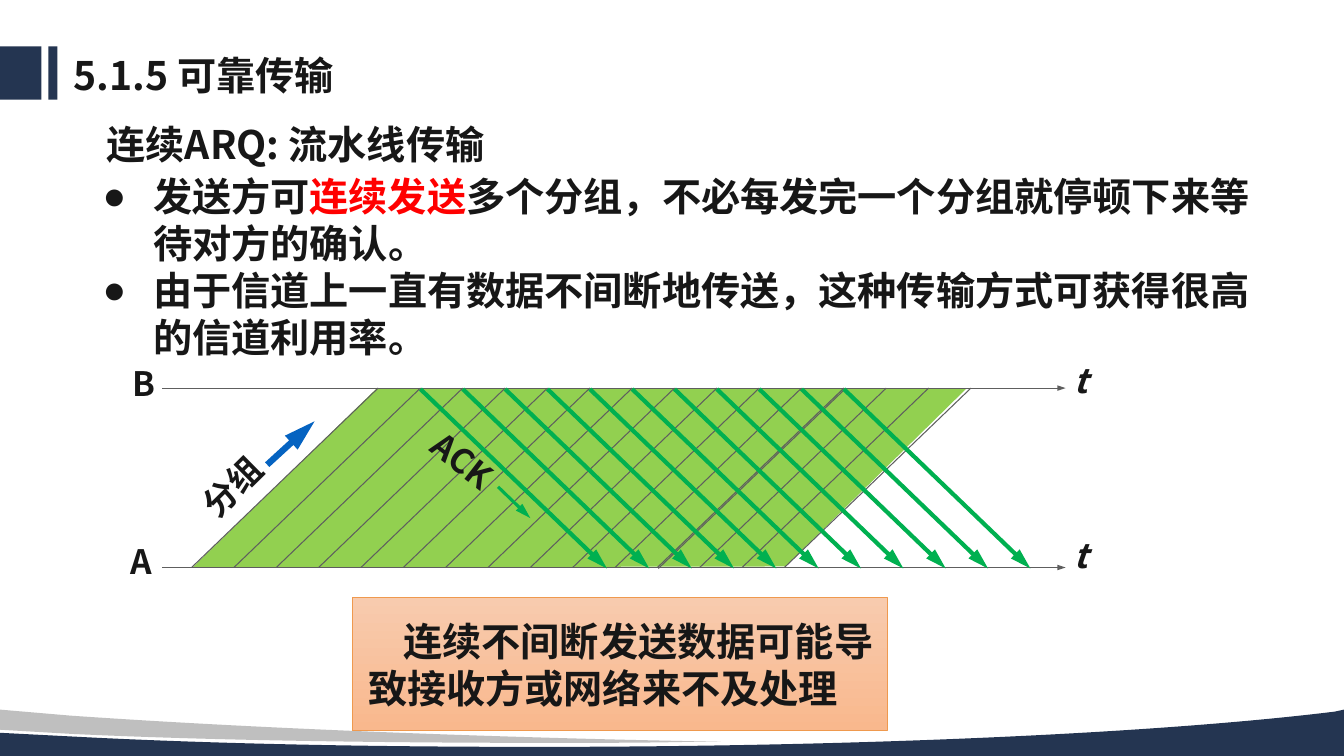
"""Build the slide on continuous ARQ and pipelined transmission."""
from lxml.etree import SubElement
from pptx import Presentation
from pptx.dml.color import RGBColor
from pptx.enum.shapes import MSO_CONNECTOR, MSO_SHAPE
from pptx.enum.text import MSO_ANCHOR as ANCHOR
from pptx.oxml.ns import qn
from pptx.util import Inches, Pt

rgb = RGBColor.from_string
NAVY, INK, GRAY, GREEN = "243551", "171717", "5E5E5E", "00B050"
JP, SC = "Noto Sans CJK JP", "Noto Sans CJK SC"

prs = Presentation()
prs.slide_width, prs.slide_height = Inches(13.33), Inches(7.5)
s = prs.slides.add_slide(prs.slide_layouts[6])


def write(p, parts, size=28, font=JP, italic=False):
    for text, color in parts:
        r = p.add_run()
        r.text = text
        f = r.font
        f.size, f.bold, f.italic, f.name = Pt(size), True, italic, font
        f.color.rgb = rgb(color)
        SubElement(r._r.get_or_add_rPr(), qn("a:ea"), typeface=font)


def add_line(x1, y1, x2, y2, color, width, head=None):
    c = s.shapes.add_connector(MSO_CONNECTOR.STRAIGHT, Inches(x1), Inches(y1),
                               Inches(x2), Inches(y2))
    c.line.color.rgb = rgb(color)
    c.line.width = Pt(width)
    if head:
        SubElement(c.line._get_or_add_ln(), qn("a:tailEnd"), type="triangle", w=head[0], len=head[1])
    SubElement(c._element.spPr, qn("a:effectLst"))


for x, w in [(-0.53, 0.94), (0.48, 0.09)]:
    sp = s.shapes.add_shape(MSO_SHAPE.RECTANGLE, Inches(x), Inches(0.46), Inches(w), Inches(0.53))
    sp.shadow.inherit = False
    sp.fill.solid()
    sp.fill.fore_color.rgb = rgb(NAVY)
    sp.line.fill.background()

navy_wave = [(13.33, 7.04), (13.33, 7.5), (0, 7.5), (0, 7.27), (0.77, 7.31),
             (2.12, 7.38, 3.67, 7.41, 5.32, 7.41), (8.62, 7.41, 11.53, 7.27, 13.24, 7.06)]
gray_wave = [(0, 7.04), (0.7, 7.1), (2.29, 7.21, 4.17, 7.29, 6.22, 7.34), (7.15, 7.36),
             (6.84, 7.36), (6.4, 7.37, 5.94, 7.37, 5.48, 7.37),
             (3.61, 7.37, 1.92, 7.34, 0.69, 7.28), (0, 7.24)]
packets = [(1.91, 5.63), (3.74, 3.85), (9.58, 3.86), (7.79, 5.62)]
for outline, color in [(navy_wave, NAVY), (gray_wave, "BFBFBF"), (packets, "92D050")]:
    points = [(Inches(seg[i]), Inches(seg[i + 1])) for seg in outline for i in range(0, len(seg), 2)]
    fb = s.shapes.build_freeform(*points[0])
    fb.add_line_segments(points[1:], close=True)
    sp = fb.convert_to_shape()
    lines = sp._element.findall(".//" + qn("a:lnTo"))
    start = 0
    for seg in outline[1:]:
        count = len(seg) // 2
        first, *others = lines[start:start + count]
        start += count
        if others:
            first.tag = qn("a:cubicBezTo")
            for other in others:
                first.append(other[0])
                other.getparent().remove(other)
    sp.shadow.inherit = False
    sp.fill.solid()
    sp.fill.fore_color.rgb = rgb(color)
    sp.line.fill.background()

TOP, BOTTOM, SLANT, PITCH = 3.85, 5.63, 1.85, 0.42
LONG = ("med", "lg")
for y in (BOTTOM, TOP):
    add_line(1.61, y, 10.57, y, GRAY, 0.75, ("sm", "med"))
for i in range(15):
    x = 1.9 + PITCH * i
    add_line(x, BOTTOM, x + SLANT, TOP, GRAY, 0.75)
add_line(6.53, 5.64, 8.38, 3.86, GRAY, 0.75)
for i in range(11):
    x = 4.17 + PITCH * i
    add_line(x, 3.86, x + SLANT, 5.64, GREEN, 3, LONG)
add_line(2.65, 4.61, 3.12, 4.18, "0563C1", 4.5, LONG)
add_line(4.94, 4.83, 5.26, 5.14, GREEN, 2.25, LONG)

labels = [
    ("5.1.5 可靠传输", 0.63, 0.48, 9.98, 0.52, 28, SC, 0),
    ("连续ARQ: 流水线传输", 0.96, 1.19, 5.83, 0.47, 28, JP, 0),
    ("B", 1.22, 3.55, 0.45, 0.5, 24, JP, 0),
    ("A", 1.2, 5.32, 0.45, 0.5, 24, JP, 0),
    ("t", 10.55, 3.52, 0.31, 0.5, 24, JP, 0),
    ("t", 10.55, 5.26, 0.31, 0.5, 24, JP, 0),
    ("分组", 1.87, 4.57, 0.87, 0.5, 24, JP, 315.3),
    ("ACK", 4.16, 4.34, 0.93, 0.5, 24, JP, 37.8),
]
for text, x, y, w, h, size, font, angle in labels:
    sp = s.shapes.add_textbox(Inches(x), Inches(y), Inches(w), Inches(h))
    sp.rotation = angle
    tf = sp.text_frame
    tf.word_wrap = size == 28
    tf.vertical_anchor = ANCHOR.MIDDLE
    write(tf.paragraphs[0], [(text, INK)], size, font, italic=text == "t")

bullets = [
    [("发送方可", INK), ("连续发送", "FF0000"),
     ("多个分组，不必每发完一个分组就停顿下来等待对方的确认。", INK)],
    [("由于信道上一直有数据不间断地传送，这种传输方式可获得很高的信道利用率。", INK)],
]
tf = s.shapes.add_textbox(Inches(0.92), Inches(1.66), Inches(11.71), Inches(2.28)).text_frame
tf.word_wrap = True
for i, parts in enumerate(bullets):
    p = tf.add_paragraph() if i else tf.paragraphs[0]
    p.line_spacing = Pt(33.6)
    pPr = p._p.get_or_add_pPr()
    pPr.set("marL", str(Inches(0.5)))
    pPr.set("indent", str(Inches(-0.5)))
    SubElement(pPr, qn("a:buFont"), typeface="Arial")
    SubElement(pPr, qn("a:buChar"), char="●")
    write(p, parts)

sp = s.shapes.add_shape(MSO_SHAPE.RECTANGLE, Inches(3.49), Inches(5.93), Inches(5.31), Inches(1.32))
sp.shadow.inherit = False
sp.fill.gradient()
sp.fill.gradient_angle = 270
for stop, color in zip(sp.fill.gradient_stops, ("F8CBAE", "F9B88D")):
    stop.color.rgb = rgb(color)
sp.line.color.rgb = rgb("EF994E")
sp.line.width = Pt(0.5)
tf = sp.text_frame
tf.word_wrap = True
tf.vertical_anchor = ANCHOR.MIDDLE
tf.margin_left, tf.margin_right = Inches(0.16), Inches(0.1)
p = tf.paragraphs[0]
p.line_spacing = Pt(33.6)
pPr = p._p.get_or_add_pPr()
pPr.set("algn", "l")
pPr.set("indent", str(Inches(0.35)))
write(p, [("连续不间断发送数据可能导致接收方或网络来不及处理", INK)])

prs.save("out.pptx")
